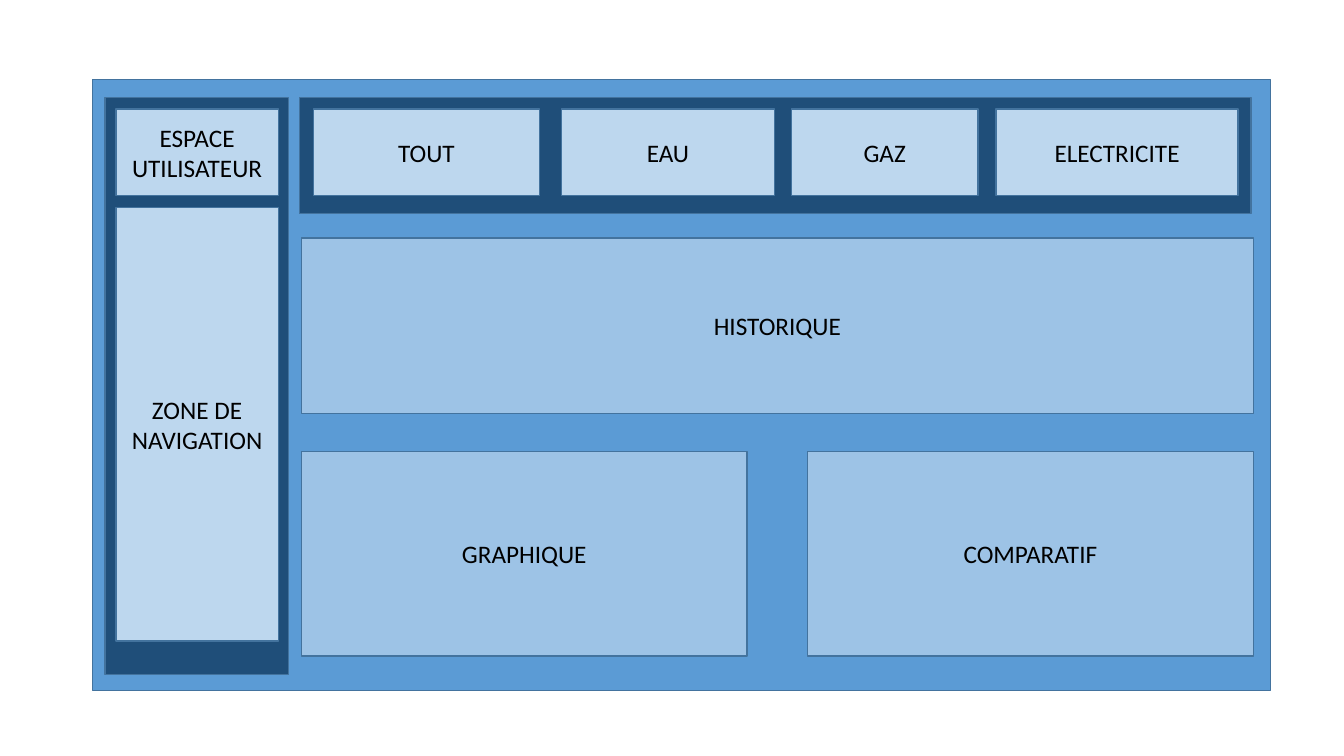
from pptx import Presentation
from pptx.dml.color import RGBColor
from pptx.enum.shapes import MSO_SHAPE as Shape
from pptx.enum.text import MSO_ANCHOR as Anchor, PP_ALIGN as Align
from pptx.util import Inches, Pt

FRAME, BAND, BUTTON, PANEL = "5B9BD5", "1F4E79", "BDD7EE", "9DC3E6"


def color(value):
    """Turn a hex string into a colour."""
    return RGBColor.from_string(value)


class Wireframe:
    """Hold the style and the current slide."""

    font, size, ink, outline = "Calibri", Pt(18), "000000", "43739E"

    def __init__(self, page):
        """Keep the slide to draw on."""
        self.page = page

    def block(self, left, top, width, height, fill, label=""):
        """Add an outlined rectangle with an optional centred label."""
        box = self.page.shapes.add_shape(
            Shape.RECTANGLE, Inches(left), Inches(top), Inches(width), Inches(height))
        box.shadow.inherit = False
        box.fill.solid()
        box.fill.fore_color.rgb = color(fill)
        box.line.color.rgb = color(self.outline)
        box.line.width = Pt(1)
        if label:
            self.add_label(box.text_frame, label)

    def add_label(self, frame, label):
        """Put a centred label into a text frame."""
        frame.word_wrap = True
        frame.vertical_anchor = Anchor.MIDDLE
        para = frame.paragraphs[0]
        para.alignment = Align.CENTER
        span = para.add_run()
        span.text = label
        span.font.name = self.font
        span.font.size = self.size
        span.font.color.rgb = color(self.ink)


deck = Presentation()
deck.slide_width, deck.slide_height = Inches(13.33), Inches(7.5)
wireframe = Wireframe(deck.slides.add_slide(deck.slide_layouts[6]))

wireframe.block(0.92, 0.79, 11.68, 6.06, FRAME)

# Sidebar
wireframe.block(1.04, 0.97, 1.82, 5.72, BAND)
button_top, button_height = 1.08, 0.86
for top, height, label in [(button_top, button_height, "ESPACE UTILISATEUR"),
                           (2.06, 4.3, "ZONE DE NAVIGATION")]:
    wireframe.block(1.15, top, 1.61, height, BUTTON, label)

# Tab bar
wireframe.block(2.97, 0.97, 9.44, 1.15, BAND)
for left, width, label in [(3.11, 2.24, "TOUT"), (5.57, 2.11, "EAU"),
                           (7.85, 1.85, "GAZ"), (9.88, 2.4, "ELECTRICITE")]:
    wireframe.block(left, button_top, width, button_height, BUTTON, label)

# Content panels
content_left, content_width, half_width = 2.99, 9.44, 4.42
wireframe.block(content_left, 2.36, content_width, 1.74, PANEL, "HISTORIQUE")
right_left = content_left + content_width - half_width
for left, label in [(content_left, "GRAPHIQUE"), (right_left, "COMPARATIF")]:
    wireframe.block(left, 4.48, half_width, 2.03, PANEL, label)

deck.save("out.pptx")
